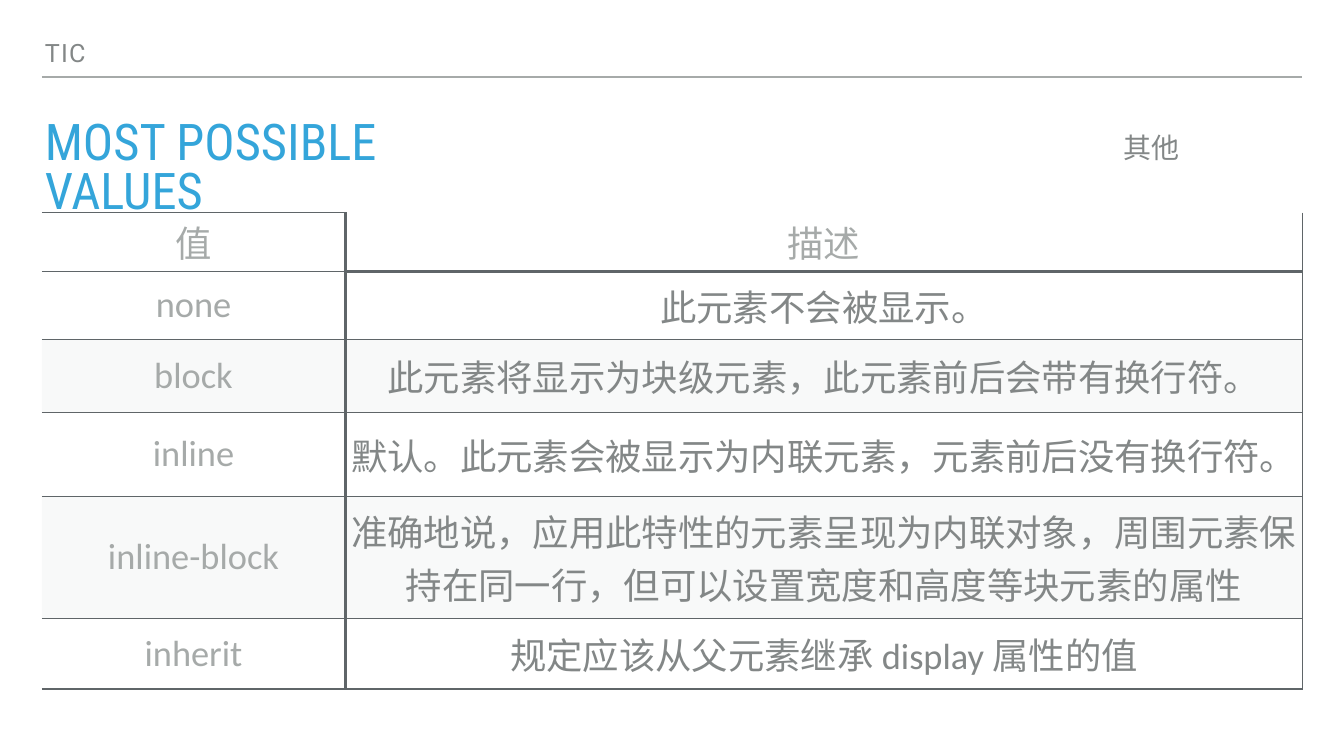
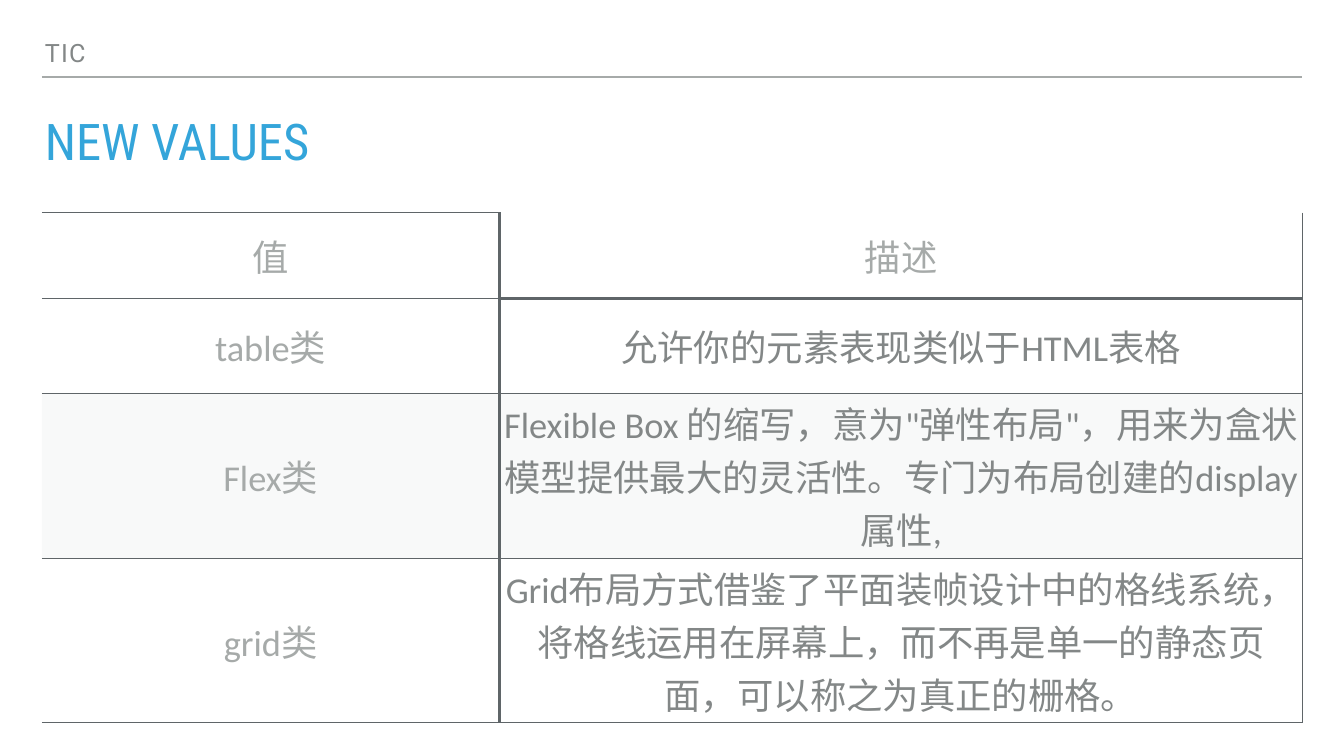
import pptx
import pptx.util
import pptx.dml.color
import pptx.enum.shapes
import pptx.enum.text
import pptx.oxml.ns
from lxml import etree

# Content
HEADER = ("值", "描述")
SLIDES = [
    {
        "title": "MOST POSSIBLE VALUES",
        "title_width": 9.61,
        "aside": "其他",
        "columns": (6.02, 19),
        "rows": [
            (1.16, HEADER),
            (1.36, ("none", "此元素不会被显示。")),
            (1.44, ("block", "此元素将显示为块级元素，此元素前后会带有换行符。")),
            (1.67, ("inline", "默认。此元素会被显示为内联元素，元素前后没有换行符。")),
            (2.42, ("inline-block", "准确地说，应用此特性的元素呈现为内联对象，周围元素保持"
                                    "在同一行，但可以设置宽度和高度等块元素的属性")),
            (1.4, ("inherit", "规定应该从父元素继承 display 属性的值")),
        ],
    },
    {
        "title": "NEW VALUES",
        "title_width": 25,
        "aside": None,
        "columns": (9.08, 15.94),
        "rows": [
            (1.7, HEADER),
            (1.88, ("table类", "允许你的元素表现类似于HTML表格")),
            (3.28, ("Flex类", "Flexible Box 的缩写，意为\"弹性布局\"，用来为盒状模型提供"
                              "最大的灵活性。专门为布局创建的display属性,")),
            (3.26, ("grid类", "Grid布局方式借鉴了平面装帧设计中的格线系统，将格线运用在屏幕上，"
                              "而不再是单一的静态页面，可以称之为真正的栅格。")),
        ],
    },
]

# Shared look
WIDTH, HEIGHT = 26.67, 15
MARGIN, CONTENT_WIDTH = 0.83, 25
RULE_TOP, TABLE_TOP = 1.53, 4.22
INSET = 0.06
BLUE, GREY, LIGHT_GREY = "34A5DA", "838787", "A6AAA9"
BORDER, BAND, BAND_OPACITY = "5F6568", "DCDEE0", 18
THIN, THICK = 2, 5

ANCHOR = pptx.enum.text.MSO_ANCHOR
CENTER = pptx.enum.text.PP_ALIGN.CENTER
GROW = pptx.enum.text.MSO_AUTO_SIZE.SHAPE_TO_FIT_TEXT
inch, point = pptx.util.Inches, pptx.util.Pt

STYLES = {
    "running_head": {
        "font": {"name": "Roboto", "size": point(36)}, "color": GREY, "tracking": 180,
        "paragraph": {"line_spacing": 0.8},
        "frame": {"vertical_anchor": ANCHOR.BOTTOM, "auto_size": GROW},
    },
    "title": {
        "font": {"name": "Roboto Condensed", "size": point(72.2)}, "color": BLUE,
        "paragraph": {"line_spacing": 0.8, "space_before": point(32)},
        "frame": {"vertical_anchor": ANCHOR.TOP},
    },
    "aside": {
        "font": {"name": "Calibri", "size": point(40)}, "color": GREY,
        "paragraph": {"space_before": point(34)},
        "frame": {"vertical_anchor": ANCHOR.MIDDLE, "auto_size": GROW},
    },
    "cell": {
        "font": {"name": "Calibri", "size": point(52)},
        "paragraph": {"alignment": CENTER, "space_before": point(34)},
    },
}


def rgb(color):
    return pptx.dml.color.RGBColor.from_string(color)


def set_all(target, values):
    for name, value in values.items():
        setattr(target, name, value)


def margins(prefix="margin_"):
    return {prefix + side: inch(INSET) for side in ("left", "right", "top", "bottom")}


def write(frame, text, style, color):
    paragraph = frame.paragraphs[0]
    set_all(paragraph, style["paragraph"])
    # Punctuation stays inside the line
    paragraph._p.get_or_add_pPr().set("hangingPunct", "0")
    run = paragraph.add_run()
    run.text = text
    set_all(run.font, style["font"])
    run.font.color.rgb = rgb(color)
    if "tracking" in style:
        run.font._element.set("spc", str(style["tracking"]))


def add_text(slide, text, style_name, left, top, width, height):
    style = STYLES[style_name]
    frame = slide.shapes.add_textbox(*map(inch, (left, top, width, height))).text_frame
    set_all(frame, {"word_wrap": True, **margins(), **style["frame"]})
    write(frame, text, style, style["color"])


def add_rule(slide):
    rule = slide.shapes.add_connector(
        pptx.enum.shapes.MSO_CONNECTOR.STRAIGHT,
        inch(MARGIN), inch(RULE_TOP), inch(MARGIN + CONTENT_WIDTH), inch(RULE_TOP))
    rule.line.color.rgb = rgb(LIGHT_GREY)
    rule.line.width = point(2)
    etree.SubElement(rule._element.spPr, pptx.oxml.ns.qn("a:effectLst"))


def cell_borders(row, column):
    """Widths by side; the value column is divided off by a thick line."""
    in_header, in_values = row == 0, column == 0
    heading_line = THIN if in_values else THICK
    return {
        "L": 0 if in_values else THICK,
        "R": THICK if in_values else THIN,
        "T": (THIN if in_values else 0) if in_header else heading_line if row == 1 else THIN,
        "B": heading_line if in_header else THIN,
    }


def draw_borders(cell, borders):
    qn = pptx.oxml.ns.qn
    properties = cell._tc.get_or_add_tcPr()
    for position, (side, width) in enumerate(borders.items()):
        line = etree.Element(qn("a:ln" + side), w=str(point(width)))
        if width:
            fill = etree.SubElement(line, qn("a:solidFill"))
            etree.SubElement(fill, qn("a:srgbClr"), val=BORDER)
        else:
            etree.SubElement(line, qn("a:noFill"))
        properties.insert(position, line)


def fill_cell(cell, banded):
    if not banded:
        cell.fill.background()
        return
    cell.fill.solid()
    cell.fill.fore_color.rgb = rgb(BAND)
    for color in cell._tc.tcPr.iter(pptx.oxml.ns.qn("a:srgbClr")):
        etree.SubElement(color, pptx.oxml.ns.qn("a:alpha"), val=str(BAND_OPACITY * 1000))


def add_values_table(slide, columns, rows):
    height = sum(row_height for row_height, _ in rows)
    table = slide.shapes.add_table(
        len(rows), len(columns), inch(MARGIN), inch(TABLE_TOP),
        inch(sum(columns)), inch(height)).table
    set_all(table, {"first_row": False, "horz_banding": False})
    for column, width in enumerate(columns):
        table.columns[column].width = inch(width)
    for row, (row_height, texts) in enumerate(rows):
        table.rows[row].height = inch(row_height)
        for column, text in enumerate(texts):
            cell = table.cell(row, column)
            set_all(cell, {"vertical_anchor": ANCHOR.MIDDLE, **margins()})
            is_description = row > 0 and column > 0
            write(cell.text_frame, text, STYLES["cell"],
                  GREY if is_description else LIGHT_GREY)
            fill_cell(cell, banded=row > 0 and row % 2 == 0)
            draw_borders(cell, cell_borders(row, column))


def main():
    presentation = pptx.Presentation()
    set_all(presentation, {"slide_width": inch(WIDTH), "slide_height": inch(HEIGHT)})
    for content in SLIDES:
        slide = presentation.slides.add_slide(presentation.slide_layouts[6])
        # Running head and title
        add_rule(slide)
        add_text(slide, "TIC", "running_head", MARGIN, 0.7, 22.92, 0.69)
        add_text(slide, content["title"], "title", MARGIN, 2.36, content["title_width"], 1.11)
        # Values of the display property
        add_values_table(slide, content["columns"], content["rows"])
        if content["aside"]:
            add_text(slide, content["aside"], "aside", 22.24, 2.47, 1.28, 0.89)
    presentation.save("out.pptx")


if __name__ == "__main__":
    main()
